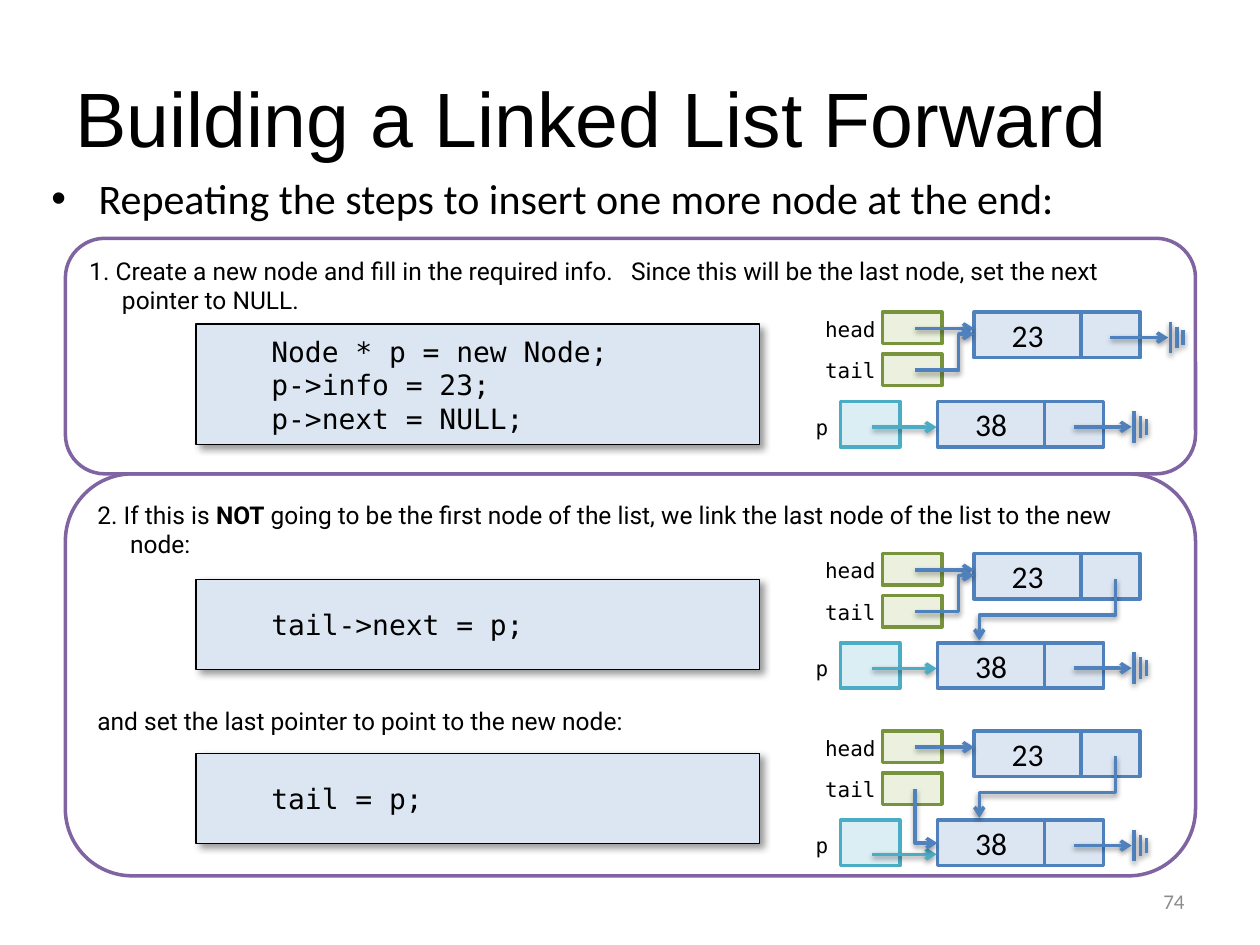
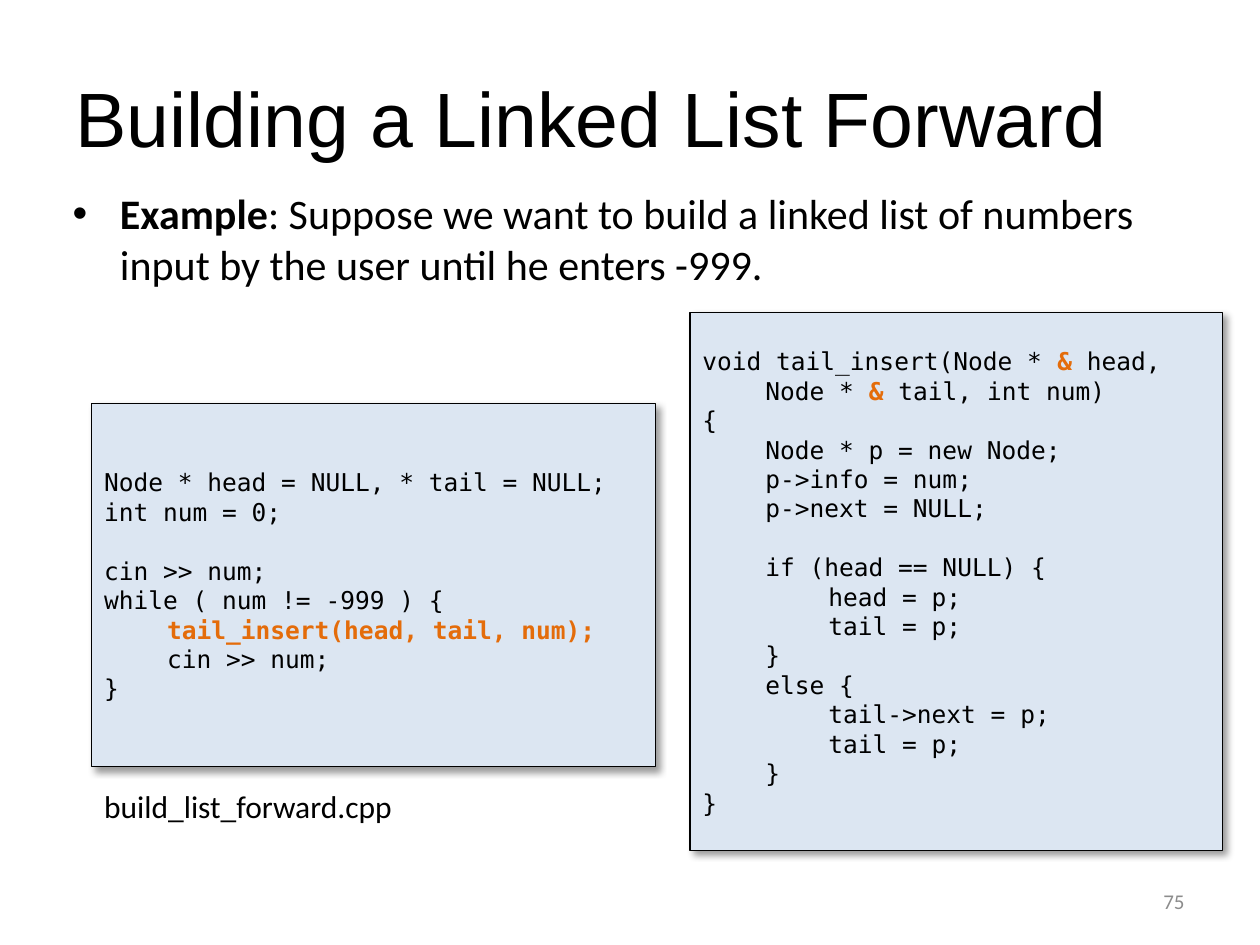
from dataclasses import dataclass

from lxml import etree
from pptx import Presentation
from pptx.dml.color import RGBColor
from pptx.enum.shapes import MSO_CONNECTOR, MSO_SHAPE
from pptx.enum.text import MSO_ANCHOR, PP_ALIGN
from pptx.oxml.ns import qn
from pptx.util import Pt

RECTANGLE, ROUNDED = MSO_SHAPE.RECTANGLE, MSO_SHAPE.ROUNDED_RECTANGLE
STRAIGHT, ELBOW = MSO_CONNECTOR.STRAIGHT, MSO_CONNECTOR.ELBOW
TOP, MIDDLE = MSO_ANCHOR.TOP, MSO_ANCHOR.MIDDLE
LEFT, CENTER, RIGHT = PP_ALIGN.LEFT, PP_ALIGN.CENTER, PP_ALIGN.RIGHT


@dataclass(frozen=True)
class Theme:
    """Colours, fonts and sizes shared by the slides."""

    black: str = "000000"
    white: str = "FFFFFF"
    grey: str = "8C8C8C"
    orange: str = "E46C0A"
    purple: str = "8064A2"
    blue: str = "4F81BD"
    pale_blue: str = "DCE6F2"
    teal: str = "4BACC6"
    pale_teal: str = "DBEEF4"
    green: str = "77933C"
    pale_green: str = "EBF1DE"
    title_font: str = "Arial"
    body_font: str = "Calibri"
    step_font: str = "Roboto"
    code_font: str = "DejaVu Sans Mono"
    title_size: float = 44
    body_size: float = 24
    node_size: float = 18
    code_size: float = 16
    small_size: float = 14
    label_size: float = 12
    tab: float = 36
    line_width: float = 2
    line_pitch: float = 1.2
    code_shadow: tuple = (4, 3, 45, 40)
    line_shadow: tuple = (3.1, 1.6, 90, 38)


THEME = Theme()
TITLE = "Building a Linked List Forward"
MAIN_CODE = [
    "Node * head = NULL, * tail = NULL;",
    "int num = 0;",
    "",
    "cin >> num;",
    "while ( num != -999 ) {",
    "\ttail_insert(head, tail, num);",
    "\tcin >> num;",
    "}",
]
INSERT_CODE = [
    "void tail_insert(Node * & head,",
    "\tNode * & tail, int num)",
    "{",
    "\tNode * p = new Node;",
    "\tp->info = num;",
    "\tp->next = NULL;",
    "",
    "\tif (head == NULL) {",
    "\t\thead = p;",
    "\t\ttail = p;",
    "\t}",
    "\telse {",
    "\t\ttail->next = p;",
    "\t\ttail = p;",
    "\t}",
    "}",
]


def rgb(value):
    """Return a colour object for a hex string."""
    return RGBColor.from_string(value)


def write(shape, lines, font=THEME.body_font, size=THEME.body_size, color=THEME.black,
          align=LEFT, anchor=TOP, wrap=True, hanging=0, bullet=False, gap=None,
          emphasis=None, emphasis_color=THEME.black):
    """Fill a shape with lines; tabs indent, and an empty line adds a gap before the next."""
    frame = shape.text_frame
    frame.word_wrap, frame.vertical_anchor = wrap, anchor
    paragraph, pending = None, False
    for line in lines:
        if not line:
            pending = True
            continue
        paragraph = frame.paragraphs[0] if paragraph is None else frame.add_paragraph()
        paragraph.alignment = align
        if pending:
            paragraph.space_before = Pt(gap or size * THEME.line_pitch)
            pending = False
        text = line.lstrip("\t")
        properties = paragraph._p.get_or_add_pPr()
        properties.set("marL", str(Pt(hanging + THEME.tab * (len(line) - len(text)))))
        properties.set("indent", str(Pt(-hanging)))
        if bullet:
            etree.SubElement(properties, qn("a:buFont")).set("typeface", "Arial")
            etree.SubElement(properties, qn("a:buChar")).set("char", "•")
        for part in text.partition(emphasis) if emphasis else [text]:
            if part:
                run = paragraph.add_run()
                run.text = part
                strong = part == emphasis
                run.font.name, run.font.size, run.font.bold = font, Pt(size), strong
                run.font.color.rgb = rgb(emphasis_color if strong else color)


def add_text(slide, box, lines, **style):
    """Add a text box at box (left, top, width, height)."""
    write(slide.shapes.add_textbox(*map(Pt, box)), lines, **style)


def set_shadow(shape, blur, distance, angle, opacity):
    """Give a shape or connector a black outer shadow."""
    properties = shape._element.spPr
    effects = properties.find(qn("a:effectLst"))
    if effects is None:
        effects = etree.SubElement(properties, qn("a:effectLst"))
    shadow = etree.SubElement(effects, qn("a:outerShdw"), blurRad=str(Pt(blur)),
                              dist=str(Pt(distance)), dir=str(angle * 60000),
                              algn="tl", rotWithShape="0")
    color = etree.SubElement(shadow, qn("a:srgbClr"), val=THEME.black)
    etree.SubElement(color, qn("a:alpha"), val=str(opacity * 1000))


def add_box(slide, box, fill, line, kind=RECTANGLE, width=THEME.line_width):
    """Add a filled, outlined preset shape without a shadow."""
    shape = slide.shapes.add_shape(kind, *map(Pt, box))
    shape.fill.solid()
    shape.fill.fore_color.rgb = rgb(fill)
    shape.line.color.rgb = rgb(line)
    shape.line.width = Pt(width)
    shape.shadow.inherit = False
    return shape


def style_line(shape, color, arrow):
    """Colour a line, add its arrowhead and shadow."""
    shape.line.color.rgb = rgb(color)
    shape.line.width = Pt(THEME.line_width)
    if arrow:
        etree.SubElement(shape.line._get_or_add_ln(), qn("a:tailEnd")).set("type", "arrow")
    set_shadow(shape, *THEME.line_shadow)


def add_line(slide, start, end, color=THEME.blue, arrow=True, bend=None):
    """Add a straight connector, or an elbow that turns at the fraction bend."""
    connector = slide.shapes.add_connector(ELBOW if bend else STRAIGHT, *map(Pt, start + end))
    if bend:
        guides = connector._element.spPr.find(qn("a:prstGeom")).get_or_add_avLst()
        etree.SubElement(guides, qn("a:gd"), name="adj1", fmla=f"val {round(bend * 100000)}")
    style_line(connector, color, arrow)


def add_route(slide, points):
    """Add an open arrow that runs through the points."""
    start, *others = [tuple(map(Pt, point)) for point in points]
    builder = slide.shapes.build_freeform(*start, scale=1.0)
    builder.add_line_segments(others, close=False)
    shape = builder.convert_to_shape()
    shape.fill.background()
    shape.shadow.inherit = False
    style_line(shape, THEME.blue, True)


def add_code(slide, box, lines, size=THEME.code_size, emphasis=None):
    """Add a shaded code box."""
    shape = add_box(slide, box, THEME.pale_blue, THEME.black, width=0.75)
    set_shadow(shape, *THEME.code_shadow)
    write(shape, lines, font=THEME.code_font, size=size, anchor=MIDDLE,
          emphasis=emphasis, emphasis_color=THEME.orange)


def add_panel(slide, box, lines, **style):
    """Add a rounded step panel with its explanation."""
    shape = add_box(slide, box, THEME.white, THEME.purple, kind=ROUNDED)
    write(shape, lines, font=THEME.step_font, size=THEME.small_size, hanging=18.7, **style)


def add_node(slide, left, top, value, ends_list):
    """Add a two-cell node, with the null symbol if it ends the list."""
    info = add_box(slide, (left, top, 61.2, 26), THEME.pale_blue, THEME.blue)
    write(info, [value], size=THEME.node_size, align=CENTER, anchor=MIDDLE)
    add_box(slide, (left + 61.2, top, 33.8, 26), THEME.pale_blue, THEME.blue)
    if ends_list:
        middle = top + 14.5
        add_line(slide, (left + 77.8, middle), (left + 110.9, middle))
        for index, length in enumerate((18, 12.4, 8.8)):
            x = left + 112.3 + 3.6 * index
            add_line(slide, (x, middle - length / 2), (x, middle + length / 2), arrow=False)


def add_list_diagram(slide, left, top, linked=False, tail_moved=False):
    """Draw head, tail, p and both nodes in one state of the insertion."""
    def at(x, y):
        """Return a point relative to the diagram."""
        return left + x, top + y

    labels = (("head", 5.4, -1.2), ("tail", 5.4, 22.6), ("p", 0, 54.7))
    for name, x, y in labels:
        add_text(slide, (*at(x, y), 44 if len(name) > 1 else 21.7, 21.8), [name],
                 font=THEME.code_font, size=THEME.label_size, wrap=False)
    for y in (0, 23.9):
        add_box(slide, (*at(45.2, y), 34, 18), THEME.pale_green, THEME.green)
    add_box(slide, (*at(21.2, 51), 34, 26), THEME.pale_teal, THEME.teal)
    add_node(slide, *at(97.6, 0), "23", not linked)
    add_node(slide, *at(76.7, 51), "38", True)
    p_height = 70.5 if tail_moved else 65.7
    add_line(slide, at(39.5, p_height), at(76.2, p_height), color=THEME.teal)
    add_line(slide, at(64, 9.3), at(97.6, 9.3))
    if tail_moved:
        add_route(slide, [at(64, 33.2), at(64, 64.1), at(76.7, 64.1)])
    else:
        add_line(slide, at(64, 33.2), at(97.6, 12.5), bend=0.74)
    if linked:
        add_route(slide, [at(178.4, 14.5), at(178.4, 35.2), at(100.6, 35.2), at(100.6, 49.7)])


def add_slide(presentation, number):
    """Add a blank slide with the shared title and page number."""
    slide = presentation.slides.add_slide(presentation.slide_layouts[6])
    add_text(slide, (36, 21.6, 648, 90), [TITLE], font=THEME.title_font,
             size=THEME.title_size, anchor=MIDDLE)
    add_text(slide, (516, 500.5, 168, 28.8), [number], size=THEME.label_size,
             color=THEME.grey, align=RIGHT, anchor=MIDDLE)
    return slide


def build_steps_slide(presentation):
    """Build the slide that repeats the insertion steps."""
    slide = add_slide(presentation, "74")
    add_text(slide, (22.3, 95, 676, 36), [
        "Repeating the steps to insert one more node at the end:"], hanging=27, bullet=True)
    add_panel(slide, (37.4, 270.8, 645.8, 229.7), [
        "2. If this is NOT going to be the first node of the list, "
        "we link the last node of the list to the new node:",
        "",
        "and set the last pointer to point to the new node:",
    ], emphasis="NOT", gap=84)
    add_panel(slide, (37.4, 136.2, 645.8, 134.6), [
        "1. Create a new node and fill in the required info.   "
        "Since this will be the last node, set the next pointer to NULL."])
    code_blocks = (
        (185.2, 69, ["\tNode * p = new Node;", "\tp->info = 23;", "\tp->next = NULL;"]),
        (331, 51.5, ["\ttail->next = p;"]),
        (430.5, 51.5, ["\ttail = p;"]),
    )
    for top, height, lines in code_blocks:
        add_code(slide, (112, top, 322, height), lines)
    add_list_diagram(slide, 459, 178.4)
    add_list_diagram(slide, 459, 316.3, linked=True)
    add_list_diagram(slide, 459, 417.7, linked=True, tail_moved=True)


def build_example_slide(presentation):
    """Build the slide with the complete example code."""
    slide = add_slide(presentation, "75")
    add_text(slide, (34.5, 103.7, 676, 70), [
        "Example: Suppose we want to build a linked list of numbers "
        "input by the user until he enters -999."], hanging=27, bullet=True, emphasis="Example")
    add_code(slide, (52.4, 230.6, 322, 207.6), MAIN_CODE, size=THEME.small_size,
             emphasis="tail_insert(head, tail, num);")
    add_code(slide, (394.3, 178.6, 304.5, 307.5), INSERT_CODE, size=THEME.small_size,
             emphasis="&")
    add_text(slide, (52.4, 446.4, 180.7, 29), ["build_list_forward.cpp"],
             size=THEME.node_size, wrap=False)


def main():
    """Build and save the presentation."""
    presentation = Presentation()
    presentation.slide_width, presentation.slide_height = Pt(720), Pt(540)
    build_steps_slide(presentation)
    build_example_slide(presentation)
    presentation.save("out.pptx")


if __name__ == "__main__":
    main()
